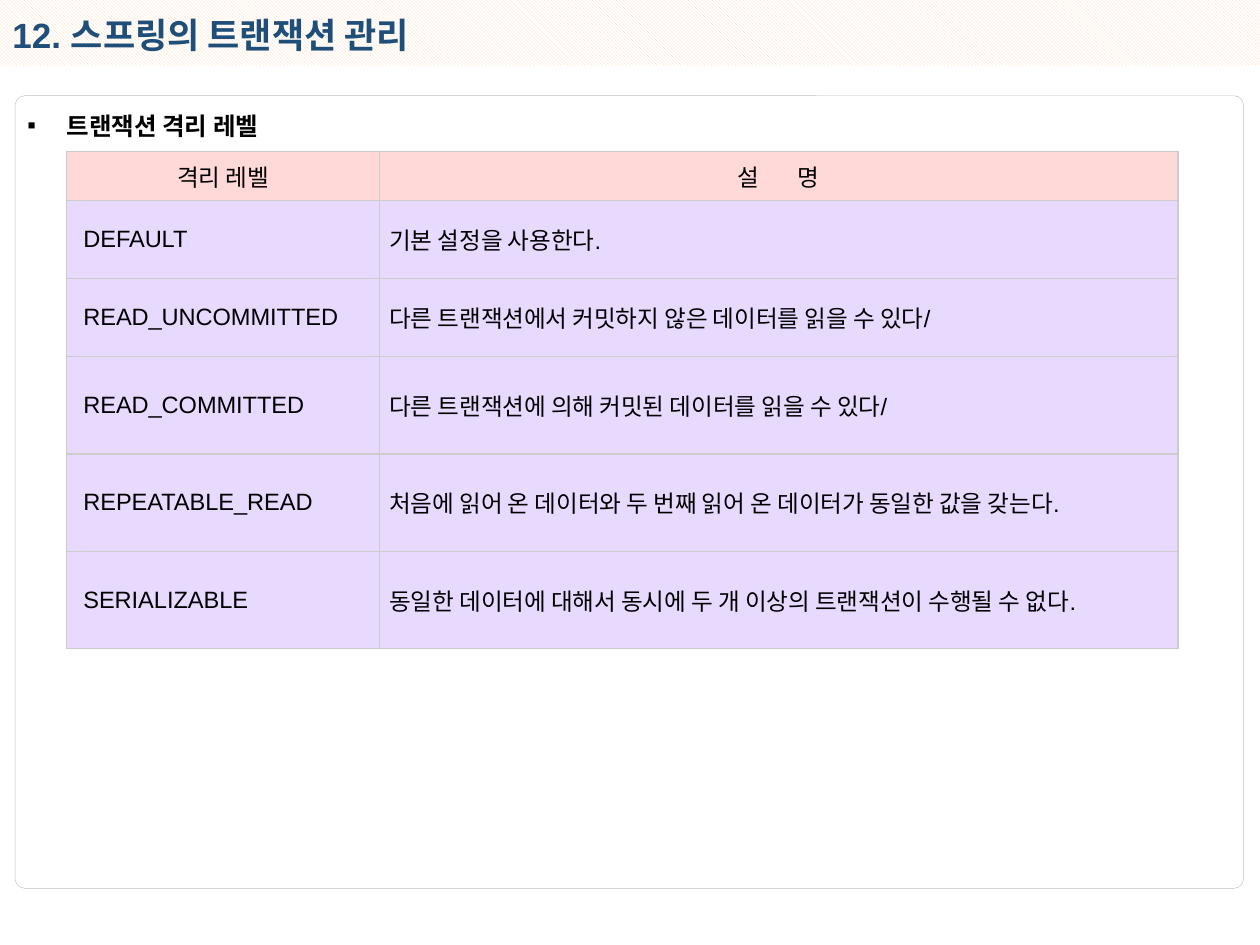
from lxml.etree import SubElement
from pptx import Presentation
from pptx.dml.color import RGBColor
from pptx.enum.dml import MSO_PATTERN
from pptx.enum.shapes import MSO_SHAPE
from pptx.enum.text import MSO_ANCHOR, MSO_AUTO_SIZE, PP_ALIGN
from pptx.oxml.ns import qn
from pptx.util import Inches, Pt

BLACK = RGBColor(0x00, 0x00, 0x00)
WHITE = RGBColor(0xFF, 0xFF, 0xFF)
NAVY = RGBColor(0x1F, 0x4E, 0x79)
PEACH = RGBColor(0xFC, 0xD5, 0xB5)
GRAY = RGBColor(0xBF, 0xBF, 0xBF)
PINK = RGBColor(0xFF, 0xD8, 0xD8)
LILAC = RGBColor(0xE8, 0xD9, 0xFF)
BORDER = "CCCCCC"

# The slide is a grid of 100 columns by 75 rows
COLUMNS, ROWS = 100, 75
UNIT = Inches(0.1)


def grid(*lengths):
    return [round(length * UNIT) for length in lengths]


def write(frame, text, size=13.5, color=BLACK, bold=False, align=None, gap=0):
    """Write one paragraph; gap is the letter spacing before the last letter."""
    para = frame.paragraphs[0]
    if align is not None:
        para.alignment = align
    for part in (text[:-1], text[-1]) if gap else (text,):
        span = para.add_run()
        span.text = part
        span.font.name = "Arial"
        span.font.size = Pt(size)
        span.font.bold = bold
        span.font.color.rgb = color
    if gap:
        para.runs[0].font._element.set("spc", str(round(gap * 100)))
    return para


class SlideBuilder:
    font_size = 13.5

    def __init__(self, deck):
        self.slide = deck.slides.add_slide(deck.slide_layouts[6])

    def shape(self, kind, *place):
        shape = self.slide.shapes.add_shape(kind, *grid(*place))
        shape.shadow.inherit = False
        return shape

    def frame(self, *place, rounding, color, width):
        box = self.shape(MSO_SHAPE.ROUNDED_RECTANGLE, *place)
        box.adjustments[0] = rounding
        box.fill.background()
        box.line.color.rgb = color
        box.line.width = Pt(width)

    def band(self, *place, front, back):
        band = self.shape(MSO_SHAPE.RECTANGLE, *place)
        band.fill.patterned()
        band.fill.pattern = MSO_PATTERN.LIGHT_DOWNWARD_DIAGONAL
        band.fill.fore_color.rgb = front
        band.fill.back_color.rgb = back
        band.line.fill.background()

    def text(self, content, *place, wrap=True, bullet=None, **style):
        box = self.slide.shapes.add_textbox(*grid(*place))
        box.text_frame.word_wrap = wrap
        box.text_frame.auto_size = MSO_AUTO_SIZE.SHAPE_TO_FIT_TEXT
        para = write(box.text_frame, content, **style)
        if bullet:
            settings = para._p.get_or_add_pPr()
            settings.set("marL", str(Inches(0.31)))
            settings.set("indent", str(-Inches(0.31)))
            SubElement(settings, qn("a:buFont"), typeface="Arial")
            SubElement(settings, qn("a:buChar"), char=bullet)

    def table(self, left, top, widths, heights, header, records):
        place = grid(left, top, sum(widths), sum(heights))
        table = self.slide.shapes.add_table(len(heights), len(widths), *place).table
        for column, width in zip(table.columns, grid(*widths)):
            column.width = width
        for row, height in zip(table.rows, grid(*heights)):
            row.height = height
        for column, (title, gap) in enumerate(header):
            self.cell(table.cell(0, column), title, PINK, 0,
                      align=PP_ALIGN.CENTER, gap=gap)
        for row, record in enumerate(records, start=1):
            for column, content in enumerate(record):
                inset = 0.8 if column else 1.32
                self.cell(table.cell(row, column), content, LILAC, inset)

    def cell(self, cell, content, fill, inset, **style):
        cell.margin_left = cell.margin_right = grid(inset)[0]
        cell.margin_top = cell.margin_bottom = 0
        cell.vertical_anchor = MSO_ANCHOR.MIDDLE
        write(cell.text_frame, content, size=self.font_size, **style)
        # Borders come before the fill in the cell settings
        settings = cell._tc.get_or_add_tcPr()
        for side in ("lnL", "lnR", "lnT", "lnB"):
            line = SubElement(settings, qn(f"a:{side}"), w=str(Pt(0.75)))
            solid = SubElement(line, qn("a:solidFill"))
            SubElement(solid, qn("a:srgbClr"), val=BORDER)
        cell.fill.solid()
        cell.fill.fore_color.rgb = fill


deck = Presentation()
deck.slide_width, deck.slide_height = grid(COLUMNS, ROWS)
page = SlideBuilder(deck)

# Backdrop
page.frame(1.2, 7.6, 97.5, 62.9, rounding=0.012, color=GRAY, width=0.25)
page.band(0, 0, COLUMNS, 5.2, front=PEACH, back=WHITE)

# Headings
page.text("트랜잭션 격리 레벨", 1.2, 8.3, 94.6, 3.4, bullet="▪", size=14, bold=True)
page.text("12. 스프링의 트랜잭션 관리", 0, 0.6, 37, 4.4, wrap=False,
          size=20, color=NAVY, bold=True)

# Isolation levels
page.table(
    5.3, 12,
    widths=[24.8, 63.4],
    heights=[3.9] + [6.2] * 2 + [7.74] * 3,
    header=[("격리 레벨", 0), ("설 명", 9.5)],
    records=[
        ("DEFAULT", "기본 설정을 사용한다."),
        ("READ_UNCOMMITTED", "다른 트랜잭션에서 커밋하지 않은 데이터를 읽을 수 있다/"),
        ("READ_COMMITTED", "다른 트랜잭션에 의해 커밋된 데이터를 읽을 수 있다/"),
        ("REPEATABLE_READ", "처음에 읽어 온 데이터와 두 번째 읽어 온 데이터가 동일한 값을 갖는다."),
        ("SERIALIZABLE", "동일한 데이터에 대해서 동시에 두 개 이상의 트랜잭션이 수행될 수 없다."),
    ],
)

deck.save("out.pptx")
